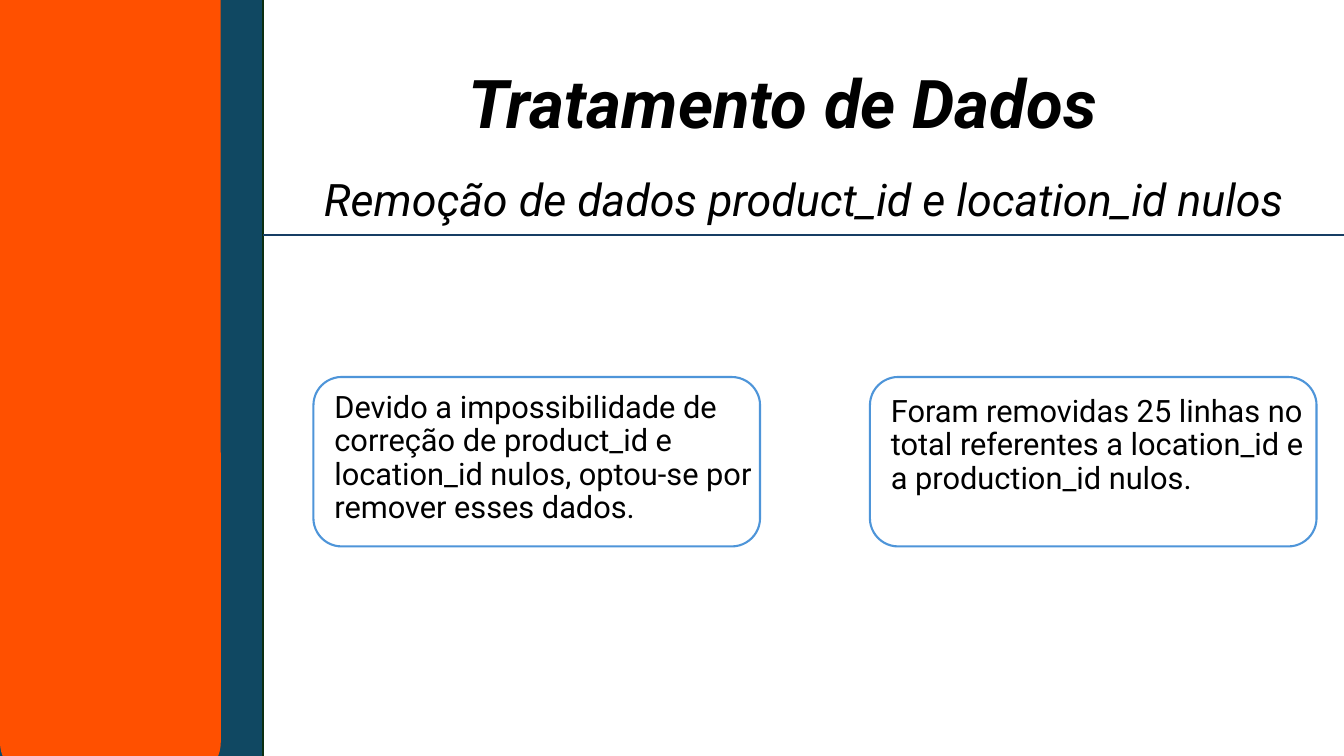
from dataclasses import dataclass

from lxml import etree
from pptx import Presentation
from pptx.dml.color import RGBColor
from pptx.enum.shapes import MSO_CONNECTOR, MSO_SHAPE
from pptx.enum.text import MSO_ANCHOR, PP_ALIGN
from pptx.oxml.ns import qn
from pptx.slide import Slide
from pptx.util import Pt

RECTANGLE = MSO_SHAPE.RECTANGLE
ROUNDED = MSO_SHAPE.ROUNDED_RECTANGLE
STRAIGHT = MSO_CONNECTOR.STRAIGHT
LEFT, CENTER = PP_ALIGN.LEFT, PP_ALIGN.CENTER
TOP, BOTTOM = MSO_ANCHOR.TOP, MSO_ANCHOR.BOTTOM

SLIDE_WIDTH, SLIDE_HEIGHT = 960, 540
FONT = "Roboto"
LINE_WIDTH = 1.5
RULE_Y = 167.8
CARD_TOP, CARD_WIDTH, CARD_HEIGHT = 269.3, 319, 121
CARD_TEXT_INDENT, CARD_TEXT_WIDTH, CARD_TEXT_HEIGHT = 7.9, 313, 130.5


@dataclass(frozen=True)
class Box:
    left: float
    top: float
    width: float
    height: float

    @property
    def right(self) -> float:
        return self.left + self.width

    def lengths(self) -> tuple[Pt, Pt, Pt, Pt]:
        return Pt(self.left), Pt(self.top), Pt(self.width), Pt(self.height)


@dataclass(frozen=True)
class Card:
    left: float
    text_top: float
    text: str


CARDS = [
    Card(223.9, 276.5, "Devido a impossibilidade de correção de product_id e "
                       "location_id nulos, optou-se por remover esses dados."),
    Card(621.4, 279.4, "Foram removidas 25 linhas no total referentes a "
                       "location_id e a production_id nulos."),
]
SIDEBAR = Box(-10.8, -8.6, 198.7, 565.2)
SIDEBAR_PANEL = Box(0, -28.8, 157.7, 585.4)
TITLE = Box(145.4, 43.2, 828, 62.6)
SUBTITLE = Box(195.1, 105.8, 758.9, 59)


def rgb(value: str) -> RGBColor:
    return RGBColor.from_string(value)


def add_panel(slide: Slide, kind: MSO_SHAPE, box: Box,
              fill: str | None = None, line: str | None = None) -> None:
    panel = slide.shapes.add_shape(kind, *box.lengths())
    panel.shadow.inherit = False
    if fill:
        panel.fill.solid()
        panel.fill.fore_color.rgb = rgb(fill)
    else:
        panel.fill.background()
    if line:
        panel.line.color.rgb = rgb(line)
        panel.line.width = Pt(LINE_WIDTH)
    else:
        panel.line.fill.background()


def add_text(slide: Slide, text: str, box: Box, *, size: float,
             bold: bool = False, italic: bool = False,
             align: PP_ALIGN = LEFT, anchor: MSO_ANCHOR = TOP,
             space_before: float = 0) -> None:
    frame = slide.shapes.add_textbox(*box.lengths()).text_frame
    frame.word_wrap = True
    frame.vertical_anchor = anchor
    paragraph = frame.paragraphs[0]
    paragraph.alignment = align
    paragraph.line_spacing = 0.9
    paragraph.space_before = Pt(space_before)
    run = paragraph.add_run()
    run.text = text
    run.font.name = FONT
    run.font.size = Pt(size)
    run.font.bold = bold
    run.font.italic = italic
    run.font.color.rgb = rgb("000000")


def add_rule(slide: Slide, start: float, end: float, y: float, color: str) -> None:
    """Draw a horizontal line without a shadow."""
    rule = slide.shapes.add_connector(STRAIGHT, Pt(start), Pt(y), Pt(end), Pt(y))
    rule.line.color.rgb = rgb(color)
    rule.line.width = Pt(LINE_WIDTH)
    etree.SubElement(rule._element.spPr, qn("a:effectLst"))


def add_card(slide: Slide, card: Card) -> None:
    add_panel(slide, ROUNDED, Box(card.left, CARD_TOP, CARD_WIDTH, CARD_HEIGHT),
              line="4E95D9")
    text_box = Box(card.left + CARD_TEXT_INDENT, card.text_top,
                   CARD_TEXT_WIDTH, CARD_TEXT_HEIGHT)
    add_text(slide, card.text, text_box, size=22, space_before=10)


def main() -> None:
    presentation = Presentation()
    presentation.slide_width = Pt(SLIDE_WIDTH)
    presentation.slide_height = Pt(SLIDE_HEIGHT)
    slide = presentation.slides.add_slide(presentation.slide_layouts[6])

    add_panel(slide, RECTANGLE, SIDEBAR, fill="104862", line="0B2F10")
    add_panel(slide, ROUNDED, SIDEBAR_PANEL, fill="FF5000")
    add_text(slide, "Tratamento de Dados", TITLE, size=48, bold=True,
             italic=True, align=CENTER, anchor=BOTTOM)
    add_text(slide, "Remoção de dados product_id e location_id nulos", SUBTITLE,
             size=32, italic=True, align=CENTER, anchor=BOTTOM)
    add_rule(slide, SIDEBAR.right, SLIDE_WIDTH, RULE_Y, "163E64")
    for card in CARDS:
        add_card(slide, card)

    presentation.save("out.pptx")


if __name__ == "__main__":
    main()
